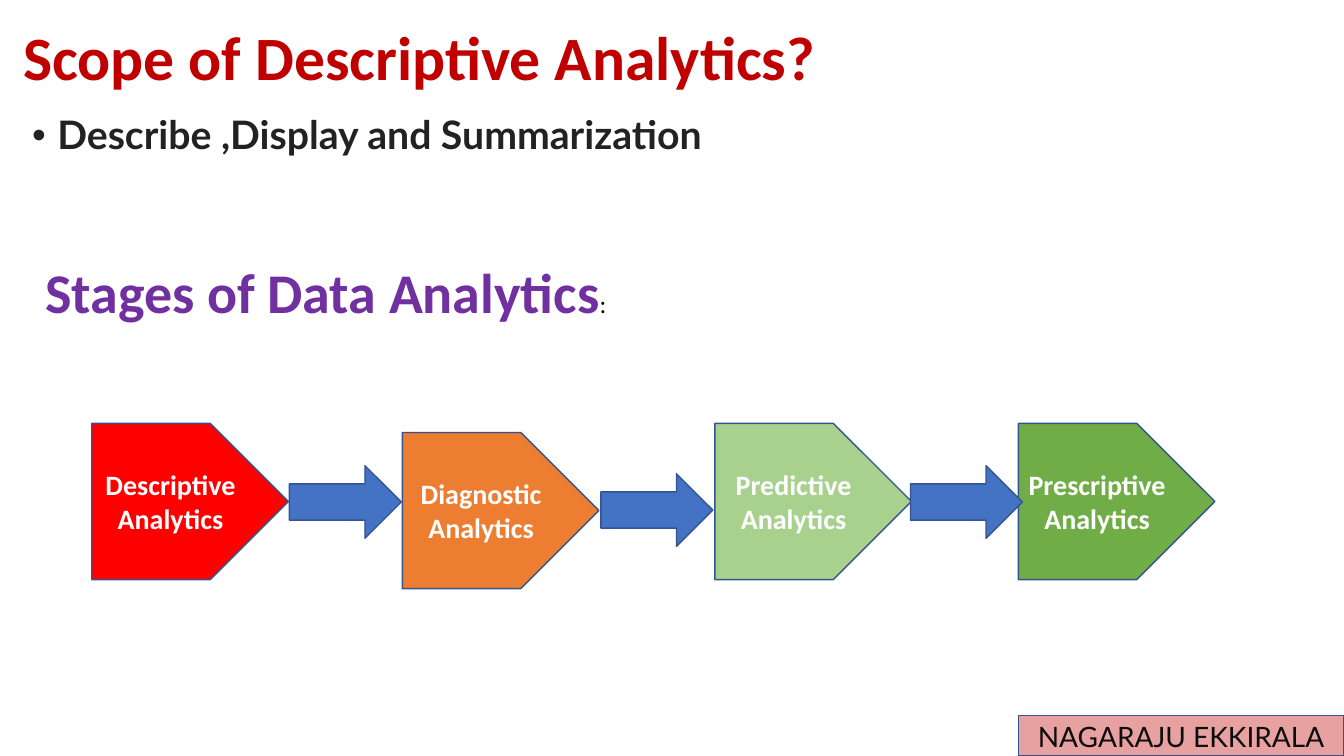
from lxml import etree
from pptx import Presentation
from pptx.dml.color import RGBColor
from pptx.enum import shapes, text
from pptx.oxml import ns
from pptx.util import Inches, Pt

WHITE = RGBColor(0xFF, 0xFF, 0xFF)
BLACK = RGBColor(0, 0, 0)
CRIMSON = RGBColor(0xC0, 0, 0)
PURPLE = RGBColor(0x70, 0x30, 0xA0)
CHARCOAL = RGBColor(0x22, 0x22, 0x22)
NEAR_BLACK = RGBColor(0x0D, 0x0D, 0x0D)
OUTLINE = RGBColor(0x32, 0x54, 0x91)
BLUE = RGBColor(0x44, 0x72, 0xC4)
RED = RGBColor(0xFF, 0, 0)
ORANGE = RGBColor(0xED, 0x7D, 0x31)
LIGHT_GREEN = RGBColor(0xA9, 0xD1, 0x8E)
GREEN = RGBColor(0x70, 0xAD, 0x47)

STAGES = [
    ("Descriptive\nAnalytics", RED, 0.91, 4.2),
    ("Diagnostic Analytics", ORANGE, 3.99, 4.29),
    ("Predictive Analytics", LIGHT_GREEN, 7.09, 4.2),
    ("Prescriptive Analytics", GREEN, 10.1, 4.2),
]
ARROWS = [(2.87, 4.62), (5.96, 4.7), (9.03, 4.62)]


def format_span(span, size, color, bold=False, font="Calibri"):
    """Set the font of one run."""
    span.font.name = font
    span.font.size = Pt(size)
    span.font.bold = bold
    span.font.color.rgb = color


def add_filled(page, kind, box, color):
    """Add a filled, outlined preset shape in the given box."""
    shape = page.shapes.add_shape(kind, *map(Inches, box))
    shape.shadow.inherit = False
    shape.fill.solid()
    shape.fill.fore_color.rgb = color
    shape.line.color.rgb = OUTLINE
    shape.line.width = Pt(1)
    return shape


def fill_label(shape, label, size, color, bold, font):
    """Write a centred label into a shape."""
    frame = shape.text_frame
    frame.word_wrap = True
    frame.vertical_anchor = text.MSO_ANCHOR.MIDDLE
    frame.margin_left = frame.margin_right = Inches(0.05)
    frame.text = label
    for para in frame.paragraphs:
        para.alignment = text.PP_ALIGN.CENTER
        format_span(para.runs[0], size, color, bold, font)


def add_title(page, box):
    """Place and format the slide title."""
    title = page.shapes.title
    title.left, title.top, title.width, title.height = map(Inches, box)
    frame = title.text_frame
    frame.text = "Scope of Descriptive Analytics?"
    frame.vertical_anchor = text.MSO_ANCHOR.MIDDLE
    para = frame.paragraphs[0]
    para.alignment = text.PP_ALIGN.LEFT
    para.line_spacing = 0.9
    format_span(para.runs[0], 44, CRIMSON, True)


def add_scope(page, box):
    """Add the bulleted scope statement."""
    frame = page.shapes.add_textbox(*map(Inches, box)).text_frame
    frame.word_wrap = True
    frame.text = "Describe ,Display and Summarization"
    para = frame.paragraphs[0]
    para.line_spacing = 0.9
    para.space_before = Pt(10)
    format_span(para.runs[0], 28, CHARCOAL, True, "Lato")
    properties = para._p.get_or_add_pPr()
    properties.set("marL", str(Inches(0.25)))
    properties.set("indent", str(Inches(-0.25)))
    etree.SubElement(properties, ns.qn("a:buFont")).set("typeface", "Arial")
    etree.SubElement(properties, ns.qn("a:buChar")).set("char", "•")


def add_stages_heading(page, box):
    """Add the heading above the stages."""
    frame = page.shapes.add_textbox(*map(Inches, box)).text_frame
    frame.word_wrap = False
    frame.text = "Stages of Data Analytics"
    para = frame.paragraphs[0]
    format_span(para.runs[0], 40, PURPLE, True)
    colon = para.add_run()
    colon.text = ":"
    format_span(colon, 18, BLACK)


def add_stages(page):
    """Draw the four stages and the arrows between them."""
    for label, color, left, top in STAGES:
        stage = add_filled(page, shapes.MSO_SHAPE.PENTAGON, (left, top, 1.95, 1.55), color)
        fill_label(stage, label, 20, WHITE, True, "Calibri")
    for left, top in ARROWS:
        add_filled(page, shapes.MSO_SHAPE.RIGHT_ARROW, (left, top, 1.11, 0.72), BLUE)


def add_name_tag(page, box):
    """Add the translucent name tag in the corner."""
    tag = add_filled(page, shapes.MSO_SHAPE.RECTANGLE, box, CRIMSON)
    color = tag.fill._xPr.find(ns.qn("a:solidFill"))[0]
    etree.SubElement(color, ns.qn("a:alpha")).set("val", "37000")
    fill_label(tag, "NAGARAJU EKKIRALA", 20, NEAR_BLACK, False, "Lato")


def main():
    """Build the slide and save the deck."""
    deck = Presentation()
    deck.slide_width, deck.slide_height = Inches(13.33), Inches(7.5)
    page = deck.slides.add_slide(deck.slide_layouts[5])
    add_name_tag(page, (10.1, 7.1, 3.23, 0.4))
    add_title(page, (0.13, 0.02, 11.5, 1.16))
    add_scope(page, (0.22, 1.1, 12.89, 5.99))
    add_stages(page)
    add_stages_heading(page, (0.35, 2.51, 5.84, 0.77))
    deck.save("out.pptx")


if __name__ == "__main__":
    main()
